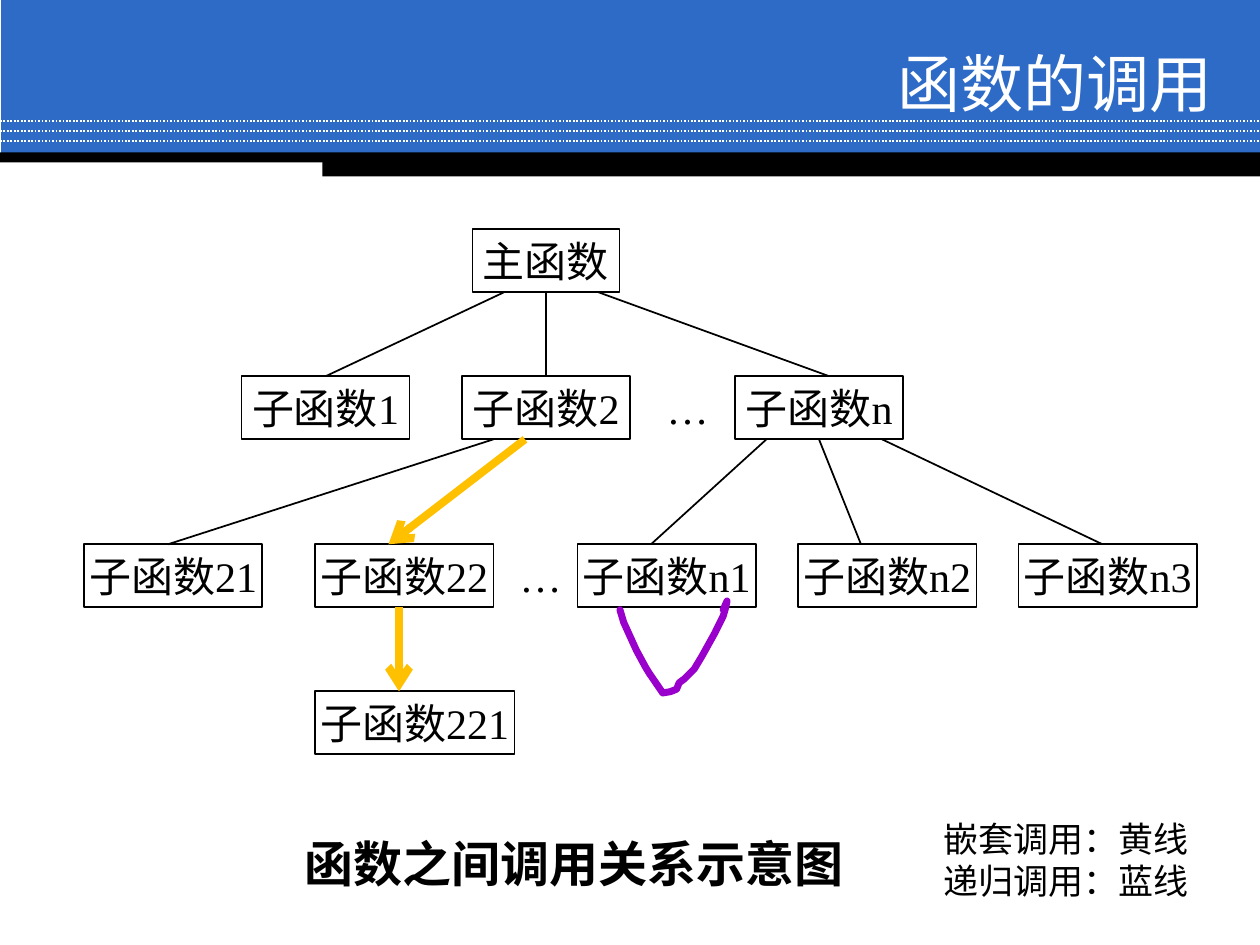
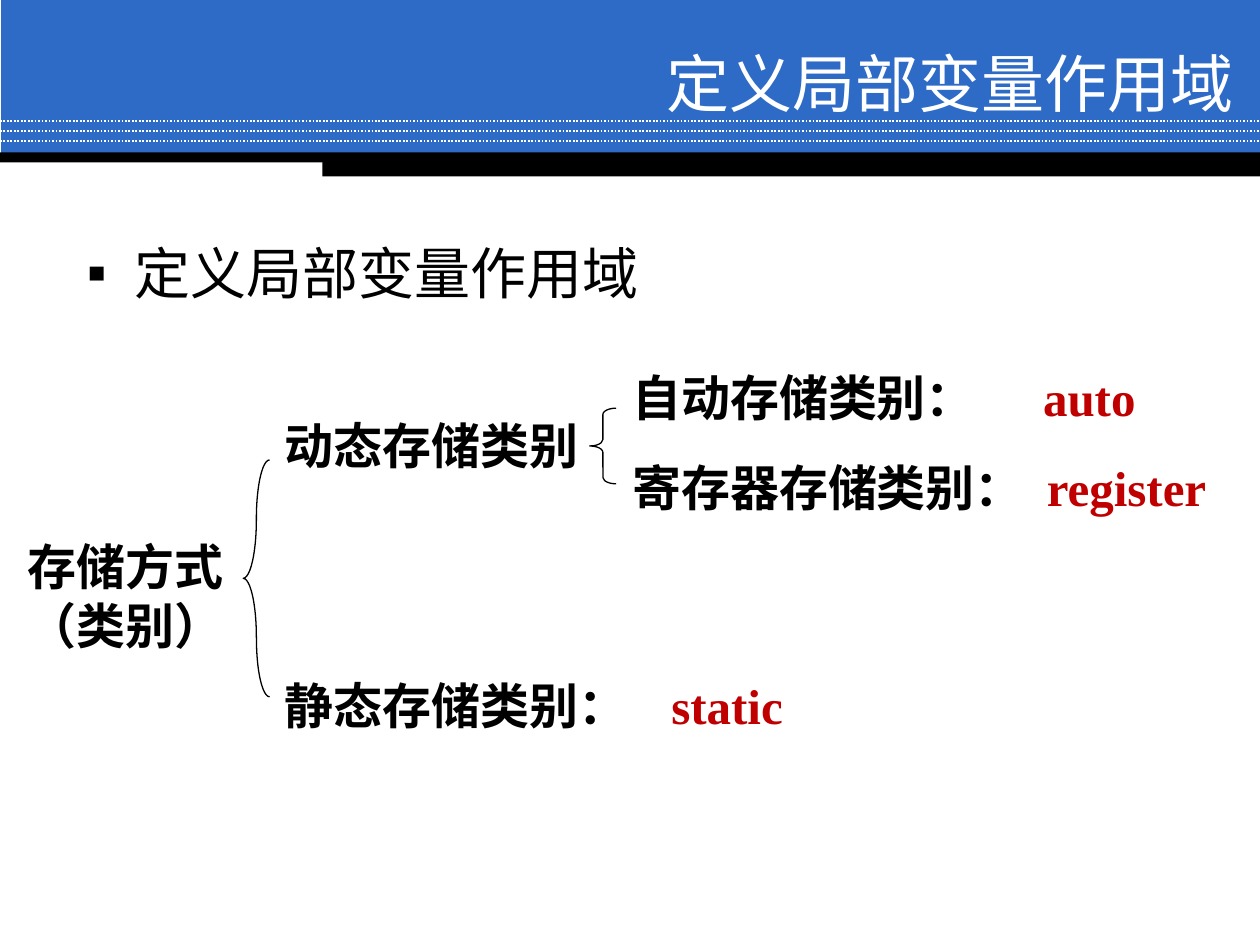
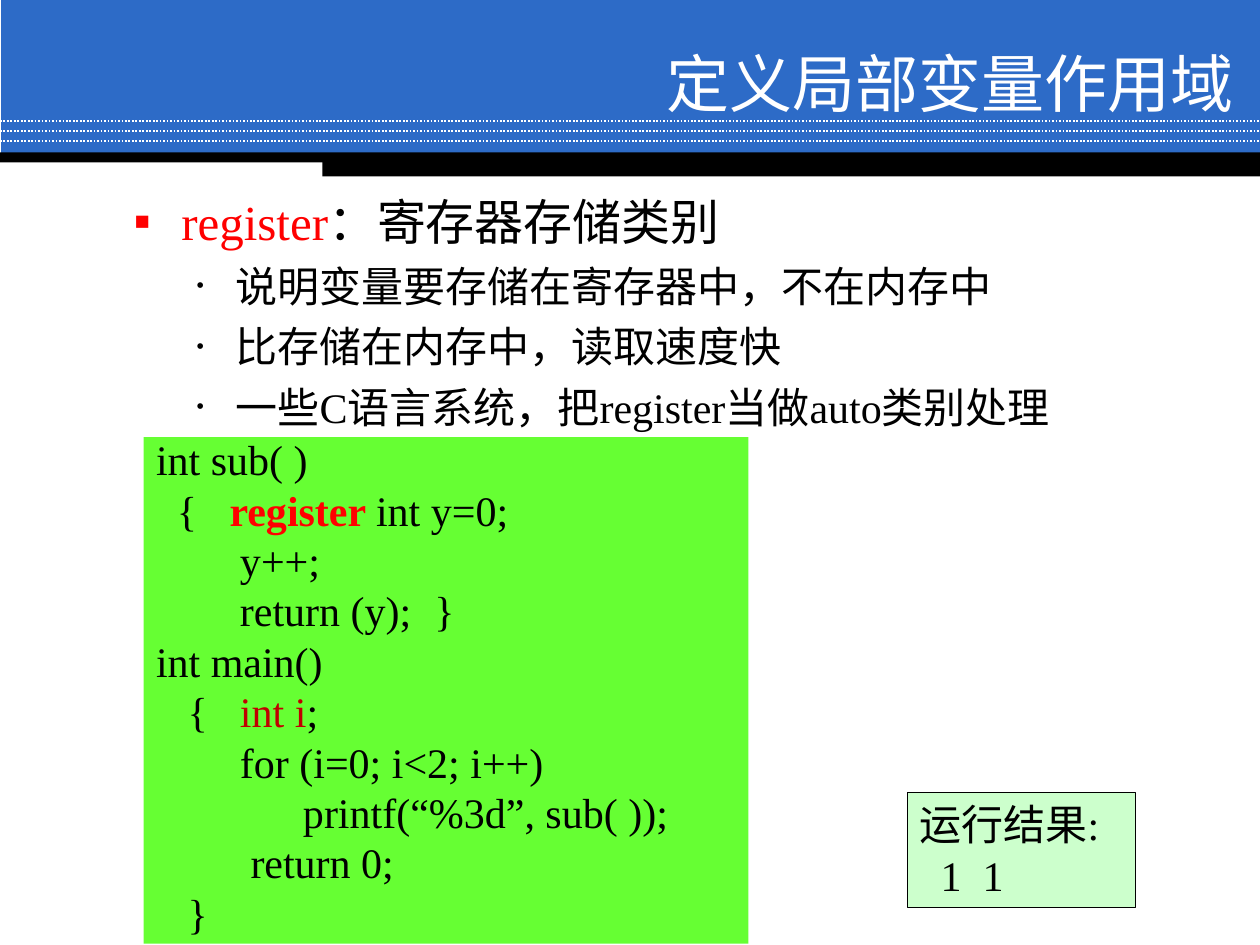
from dataclasses import dataclass
from typing import NamedTuple

from lxml.etree import SubElement
from pptx import Presentation
from pptx.dml.color import RGBColor
from pptx.enum.dml import MSO_LINE
from pptx.enum.shapes import MSO_CONNECTOR, MSO_SHAPE
from pptx.enum.text import MSO_ANCHOR as Anchor, MSO_AUTO_SIZE as AutoSize, PP_ALIGN as Align
from pptx.oxml.ns import qn
from pptx.util import Inches, Pt


@dataclass(frozen=True)
class Theme:
    blue: str = "2D6BC7"
    white: str = "FFFFFF"
    black: str = "000000"
    nested: str = "FFC000"
    recursive: str = "9900CC"
    keyword: str = "C00000"
    highlight: str = "FF0000"
    code_fill: str = "66FF33"
    result_fill: str = "CCFFCC"
    serif: str = "Times New Roman"
    sans: str = "Arial"
    chinese: str = "Noto Sans CJK SC"
    title_size: int = 36
    topic_size: int = 32
    heading_size: int = 28
    text_size: int = 24
    legend_size: int = 20
    space_share: float = 0.24


THEME = Theme()
GRID = 1 / 12
TREE_TOP = 1.82
NODE_ROWS = 6


class Box(NamedTuple):
    left: float
    top: float
    width: float
    height: float


class Words(NamedTuple):
    text: str
    color: str = THEME.black
    bold: bool = False


@dataclass(frozen=True)
class Bullet:
    symbol: str
    margin: float
    hanging: float
    percent: int = 100


@dataclass(frozen=True)
class Line:
    words: tuple[Words, ...]
    stops: tuple[float, ...] = ()
    bullet: Bullet | None = None
    level: int = 0
    size: int | None = None


class Node(NamedTuple):
    label: str
    column: int
    row: int
    columns: int


class Link(NamedTuple):
    start_column: int
    start_row: int
    end_column: int
    end_row: int
    nested: bool = False


class Category(NamedTuple):
    label: str
    box: Box
    keyword: str = ""
    stop: float = 0


class Brace(NamedTuple):
    box: Box
    curve: float


SQUARE = Bullet("▪", 0.38, 0.38)
DOT = Bullet("•", 0.81, 0.31, 50)

NODES = (
    Node("主函数", 45, 0, 14),
    Node("子函数1", 23, 14, 16),
    Node("子函数2", 44, 14, 16),
    Node("子函数n", 70, 14, 16),
    Node("子函数21", 8, 30, 17),
    Node("子函数22", 30, 30, 17),
    Node("子函数n1", 55, 30, 17),
    Node("子函数n2", 76, 30, 17),
    Node("子函数n3", 97, 30, 17),
    Node("子函数221", 30, 44, 19),
)
ELLIPSES = (Node("…", 62, 14, 7), Node("…", 48, 30, 7))
LINKS = (
    Link(52, 6, 52, 14),
    Link(48, 6, 31, 14),
    Link(57, 6, 79, 14),
    Link(47, 20, 16, 30),
    Link(50, 20, 37, 30, nested=True),
    Link(73, 20, 62, 30),
    Link(38, 36, 38, 44, nested=True),
    Link(78, 20, 82, 30),
    Link(84, 20, 105, 30),
)
RECURSION_HUNDREDTHS = (
    (492, 484), (495, 494), (500, 505), (505, 516), (512, 529), (515, 534),
    (526, 550), (532, 549), (537, 547), (539, 542), (543, 539), (551, 531),
    (557, 521), (567, 503), (574, 489), (576, 482), (577, 477), (574, 484),
)
CATEGORIES = (
    Category("存储方式（类别）", Box(0.12, 4.21, 2.05, 1.03)),
    Category("动态存储类别", Box(2.16, 3.25, 2.69, 0.57)),
    Category("静态存储类别：", Box(2.16, 5.31, 4.65, 0.57), "static", 3.07),
    Category("自动存储类别：", Box(4.92, 2.87, 5.08, 0.57), "auto", 3.26),
    Category("寄存器存储类别：", Box(4.92, 3.58, 4.85, 0.57), "register", 3.29),
)
BRACES = (
    Brace(Box(1.93, 3.65, 0.21, 1.88), 2.22),
    Brace(Box(4.68, 3.24, 0.21, 0.6), 0.24),
)


def line_of(text: str, *columns: float) -> Line:
    return Line((Words(text),), tuple(column * GRID for column in columns))


REGISTER_POINTS = (
    Line((Words("register", THEME.highlight), Words("：寄存器存储类别")),
         bullet=SQUARE, size=THEME.heading_size),
    *(Line((Words(text),), bullet=DOT, level=1) for text in (
        "说明变量要存储在寄存器中，不在内存中",
        "比存储在内存中，读取速度快",
        "一些C语言系统，把register当做auto类别处理",
    )),
)
CODE = (
    line_of("int sub( )"),
    Line((Words("\t{\t"), Words("register ", THEME.highlight, True), Words("int y=0;")),
         (2 * GRID, 7 * GRID)),
    line_of("\ty++;", 8),
    line_of("\treturn (y);\t}", 8, 26.5),
    line_of("int main()"),
    Line((Words("\t{\t"), Words("int i", THEME.keyword), Words(";")),
         (3 * GRID, 8 * GRID)),
    line_of("\tfor (i=0; i<2; i++)", 8),
    line_of("\tprintf(“%3d”, sub( ));", 14),
    line_of("\treturn 0;", 9),
    line_of("\t}", 3),
)


def color_of(value: str) -> RGBColor:
    return RGBColor.from_string(value)


def place(shape, box: Box) -> None:
    shape.left, shape.top, shape.width, shape.height = map(Inches, box)


def style_bullet(properties, bullet: Bullet) -> None:
    properties.set("marL", str(Inches(bullet.margin)))
    properties.set("indent", str(-Inches(bullet.hanging)))
    SubElement(properties, qn("a:buSzPct")).set("val", str(bullet.percent * 1000))
    SubElement(properties, qn("a:buFont")).set("typeface", THEME.sans)
    SubElement(properties, qn("a:buChar")).set("char", bullet.symbol)


def style_stops(properties, stops: tuple[float, ...]) -> None:
    tabs = SubElement(properties, qn("a:tabLst"))
    for stop in stops:
        tab = SubElement(tabs, qn("a:tab"))
        tab.set("pos", str(Inches(stop)))
        tab.set("algn", "l")


def write(shape, lines: tuple[Line, ...], *, size: int = THEME.text_size,
          font: str = THEME.serif, align: Align = Align.LEFT,
          anchor: Anchor = Anchor.TOP, wrap: bool = True,
          spaced: bool = False, line_spacing: float | None = None) -> None:
    frame = shape.text_frame
    frame.auto_size = AutoSize.NONE
    frame.word_wrap = wrap
    frame.vertical_anchor = anchor
    for index, line in enumerate(lines):
        paragraph = frame.add_paragraph() if index else frame.paragraphs[0]
        paragraph.alignment = align
        paragraph.level = line.level
        points = line.size or size
        paragraph.space_before = Pt(points * THEME.space_share if spaced else 0)
        if line_spacing:
            paragraph.line_spacing = line_spacing
        properties = paragraph._p.get_or_add_pPr()
        if line.bullet:
            style_bullet(properties, line.bullet)
        if line.stops:
            style_stops(properties, line.stops)
        for words in line.words:
            run = paragraph.add_run()
            run.text = words.text
            run.font.size = Pt(points)
            run.font.name = font
            run.font.bold = words.bold
            run.font.color.rgb = color_of(words.color)
            east_asian = SubElement(run._r.get_or_add_rPr(), qn("a:ea"))
            east_asian.set("typeface", THEME.chinese)


def add_text(slide, box: Box, lines: tuple[Line, ...], **text_format) -> None:
    write(slide.shapes.add_textbox(*map(Inches, box)), lines, **text_format)


def style_outline(shape, *, fill: str | None = None, line: str | None = None,
                  weight: float = 1) -> None:
    shape.shadow.inherit = False
    if fill:
        shape.fill.solid()
        shape.fill.fore_color.rgb = color_of(fill)
    else:
        shape.fill.background()
    if line:
        shape.line.color.rgb = color_of(line)
        shape.line.width = Pt(weight)
    else:
        shape.line.fill.background()


def add_shape(slide, box: Box, kind: MSO_SHAPE = MSO_SHAPE.RECTANGLE, **outline):
    shape = slide.shapes.add_shape(kind, *map(Inches, box))
    style_outline(shape, **outline)
    return shape


def add_line(slide, start: tuple[float, float], end: tuple[float, float], *,
             color: str = THEME.black, weight: float = 1,
             dotted: bool = False, arrow: bool = False):
    connector = slide.shapes.add_connector(
        MSO_CONNECTOR.STRAIGHT, *map(Inches, (*start, *end)))
    connector.line.color.rgb = color_of(color)
    connector.line.width = Pt(weight)
    if dotted:
        connector.line.dash_style = MSO_LINE.ROUND_DOT
    properties = connector.element.spPr
    if arrow:
        SubElement(properties.find(qn("a:ln")), qn("a:tailEnd")).set("type", "arrow")
    SubElement(properties, qn("a:effectLst"))
    return connector


def add_master_band(presentation, slide) -> None:
    band = [add_shape(slide, Box(0.01, 0, 9.99, 1.23), fill=THEME.blue)]
    for index in range(3):
        height = 0.96 + index * 0.08
        band.append(add_line(slide, (0, height), (10, height),
                             color=THEME.white, dotted=True))
    for box in (Box(0, 1.21, 10, 0.08), Box(2.56, 1.24, 7.44, 0.16)):
        band.append(add_shape(slide, box, fill=THEME.black))
    tree = presentation.slide_master.shapes.element
    for index, shape in enumerate(band):
        shape.element.xpath(".//p:cNvPr")[0].set("id", str(100 + index))
        tree.insert(2 + index, shape.element)


def add_slide(presentation, layout: int, title: str, title_left: float = 2.97):
    slide = presentation.slides.add_slide(presentation.slide_layouts[layout])
    place(slide.shapes.title, Box(title_left, 0.36, 6.92, 0.58))
    write(slide.shapes.title, (Line((Words(title, THEME.white),)),),
          size=THEME.title_size, font=THEME.sans, align=Align.RIGHT,
          anchor=Anchor.MIDDLE)
    return slide


def fill_body(slide, box: Box, lines: tuple[Line, ...], size: int) -> None:
    body = slide.placeholders[1]
    place(body, box)
    write(body, lines, size=size, spaced=True)


def tree_point(column: int, row: int) -> tuple[float, float]:
    return column * GRID, TREE_TOP + row * GRID


def node_box(node: Node) -> Box:
    return Box(*tree_point(node.column, node.row), node.columns * GRID, NODE_ROWS * GRID)


def draw_call_tree(slide) -> None:
    for node in NODES:
        write(add_shape(slide, node_box(node), line=THEME.black), (line_of(node.label),),
              align=Align.CENTER, anchor=Anchor.MIDDLE, wrap=False)
    for ellipsis in ELLIPSES:
        add_text(slide, node_box(ellipsis), (line_of(ellipsis.label),), align=Align.CENTER)
    for link in LINKS:
        add_line(slide, tree_point(link.start_column, link.start_row),
                 tree_point(link.end_column, link.end_row),
                 color=THEME.nested if link.nested else THEME.black,
                 weight=4.5 if link.nested else 1, arrow=link.nested)
    start, *rest = RECURSION_HUNDREDTHS
    builder = slide.shapes.build_freeform(*start, scale=Inches(0.01))
    builder.add_line_segments(rest, close=False)
    recursion = builder.convert_to_shape()
    style_outline(recursion, line=THEME.recursive, weight=4)
    recursion.element.spPr.find(qn("a:ln")).set("cap", "rnd")


def build_call_slide(presentation) -> None:
    slide = add_slide(presentation, 5, "函数的调用", 2.8)
    add_master_band(presentation, slide)
    draw_call_tree(slide)
    add_text(slide, Box(1.43, 6.57, 6.25, 0.57),
             (Line((Words("函数之间调用关系示意图", bold=True),)),),
             size=THEME.heading_size, font=THEME.chinese, align=Align.CENTER)
    add_text(slide, Box(7.39, 6.44, 2.21, 0.77),
             (line_of("嵌套调用：黄线"), line_of("递归调用：蓝线")),
             size=THEME.legend_size, font=THEME.chinese)


def build_storage_slide(presentation) -> None:
    topic = "定义局部变量作用域"
    slide = add_slide(presentation, 1, topic)
    fill_body(slide, Box(0.59, 1.84, 8.98, 0.96),
              (Line((Words(topic),), bullet=SQUARE),), THEME.topic_size)
    for category in CATEGORIES:
        words = (Words(category.label, bold=True),)
        stops = ()
        if category.keyword:
            words += (Words("\t" + category.keyword, THEME.keyword, True),)
            stops = (category.stop,)
        add_text(slide, category.box, (Line(words, stops),), size=THEME.heading_size)
    for brace in BRACES:
        shape = add_shape(slide, brace.box, MSO_SHAPE.LEFT_BRACE,
                          line=THEME.black, weight=0.75)
        shape.adjustments[0] = brace.curve
        shape.adjustments[1] = 0.5


def build_register_slide(presentation) -> None:
    slide = add_slide(presentation, 1, "定义局部变量作用域")
    fill_body(slide, Box(0.96, 1.47, 8.05, 2.05), REGISTER_POINTS, THEME.text_size)
    code = add_shape(slide, Box(1.14, 3.47, 4.8, 4.02), fill=THEME.code_fill)
    write(code, CODE, spaced=True, line_spacing=0.8)
    result = add_shape(slide, Box(7.2, 6.29, 1.81, 0.91),
                       fill=THEME.result_fill, line=THEME.black, weight=0.75)
    write(result, (line_of("运行结果:"), line_of("\t1\t1", 2, 6)))


def main() -> None:
    presentation = Presentation()
    presentation.slide_width = Inches(10)
    presentation.slide_height = Inches(7.5)
    build_call_slide(presentation)
    build_storage_slide(presentation)
    build_register_slide(presentation)
    presentation.save("out.pptx")


if __name__ == "__main__":
    main()
